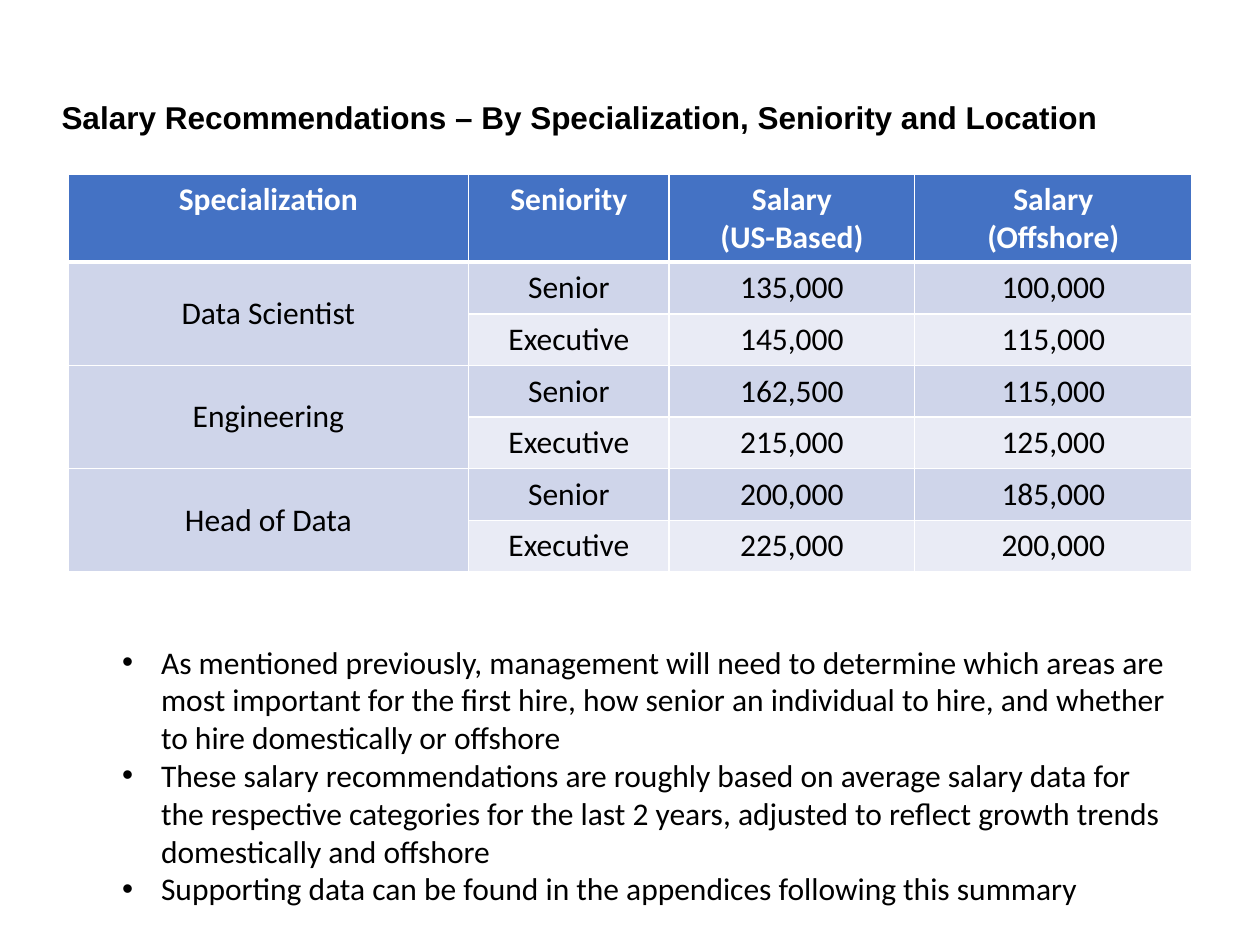
"""Build the salary recommendations slide."""
from dataclasses import dataclass

from lxml.etree import SubElement
from pptx import Presentation
from pptx.dml.color import RGBColor
from pptx.enum.text import MSO_ANCHOR, MSO_AUTO_SIZE, PP_ALIGN
from pptx.oxml.ns import qn
from pptx.util import Inches, Pt

BLACK = RGBColor(0x00, 0x00, 0x00)
WHITE = RGBColor(0xFF, 0xFF, 0xFF)
BLUE = RGBColor(0x44, 0x72, 0xC4)
BAND = RGBColor(0xCF, 0xD5, 0xEA)
PALE = RGBColor(0xE9, 0xEB, 0xF5)


@dataclass
class Role:
    name: str
    senior: tuple[str, str]
    exec: tuple[str, str]


HEADS = ["Specialization", "Seniority", "Salary\v(US-Based)", "Salary\n(Offshore)"]
WIDTHS = [3.18, 1.59, 1.95, 2.2]
ROLES = [
    Role("Data Scientist", ("135,000", "100,000"), ("145,000", "115,000")),
    Role("Engineering", ("162,500", "115,000"), ("215,000", "125,000")),
    Role("Head of Data", ("200,000", "185,000"), ("225,000", "200,000")),
]
TITLE = "Salary Recommendations – By Specialization, Seniority and Location"
NOTES = [
    "As mentioned previously, management will need to determine which areas are "
    "most important for the first hire, how senior an individual to hire, and "
    "whether to hire domestically or offshore",
    "These salary recommendations are roughly based on average salary data for "
    "the respective categories for the last 2 years, adjusted to reflect growth "
    "trends domestically and offshore",
    "Supporting data can be found in the appendices following this summary",
]


def write(frame, text: str, font="Calibri", color=BLACK, bold=False,
          align=PP_ALIGN.LEFT, bullet=False) -> None:
    for i, line in enumerate(text.split("\n")):
        para = frame.paragraphs[0] if i == 0 else frame.add_paragraph()
        para.text = line
        para.alignment = align
        for run in para.runs:
            run.font.name = font
            run.font.size = Pt(18)
            run.font.bold = bold
            run.font.color.rgb = color
        if bullet:
            props = para._p.get_or_add_pPr()
            props.set("marL", str(Inches(0.31)))
            props.set("indent", str(Inches(-0.31)))
            SubElement(props, qn("a:buFont"), typeface="Arial")
            SubElement(props, qn("a:buChar"), char="•")


def add_text(slide, box: tuple[float, ...], text: str, **style) -> None:
    frame = slide.shapes.add_textbox(*map(Inches, box)).text_frame
    frame.word_wrap = True
    frame.auto_size = MSO_AUTO_SIZE.SHAPE_TO_FIT_TEXT
    write(frame, text, **style)


def rule(cell, top: int, base: int) -> None:
    props = cell._tc.get_or_add_tcPr()
    for side, width in (("L", 1), ("R", 1), ("T", top), ("B", base)):
        line = SubElement(props, qn(f"a:ln{side}"), w=str(Pt(width)))
        fill = SubElement(line, qn("a:solidFill"))
        SubElement(fill, qn("a:srgbClr"), val=str(WHITE))


def add_grid(slide) -> None:
    rows = [HEADS]
    for role in ROLES:
        rows.append([role.name, "Senior", *role.senior])
        rows.append(["", "Executive", *role.exec])
    shape = slide.shapes.add_table(
        len(rows), len(HEADS), Inches(0.54), Inches(1.38), Inches(8.92), Inches(3.13))
    table = shape.table
    for col, width in zip(table.columns, WIDTHS):
        col.width = Inches(width)
    for r, row in enumerate(rows):
        head = r == 0
        table.rows[r].height = Inches(0.69 if head else 0.41)
        for c, text in enumerate(row):
            cell = table.cell(r, c)
            rule(cell, 3 if r == 1 else 1, 3 if head else 1)
            cell.fill.solid()
            cell.fill.fore_color.rgb = BLUE if head else BAND if r % 2 or c == 0 else PALE
            cell.vertical_anchor = MSO_ANCHOR.TOP if head else MSO_ANCHOR.MIDDLE
            write(cell.text_frame, text, color=WHITE if head else BLACK,
                  bold=head, align=PP_ALIGN.CENTER)
    for r in range(1, len(rows), 2):
        table.cell(r, 0).merge(table.cell(r + 1, 0))


def main() -> None:
    deck = Presentation()
    deck.slide_width, deck.slide_height = Inches(10), Inches(7.5)
    slide = deck.slides.add_slide(deck.slide_layouts[6])
    add_text(slide, (0.39, 0.73, 9.06, 0.4), TITLE, font="Arial", bold=True)
    add_grid(slide)
    add_text(slide, (0.87, 5.05, 8.59, 2.22), "\n".join(NOTES), bullet=True)
    deck.save("out.pptx")


if __name__ == "__main__":
    main()
